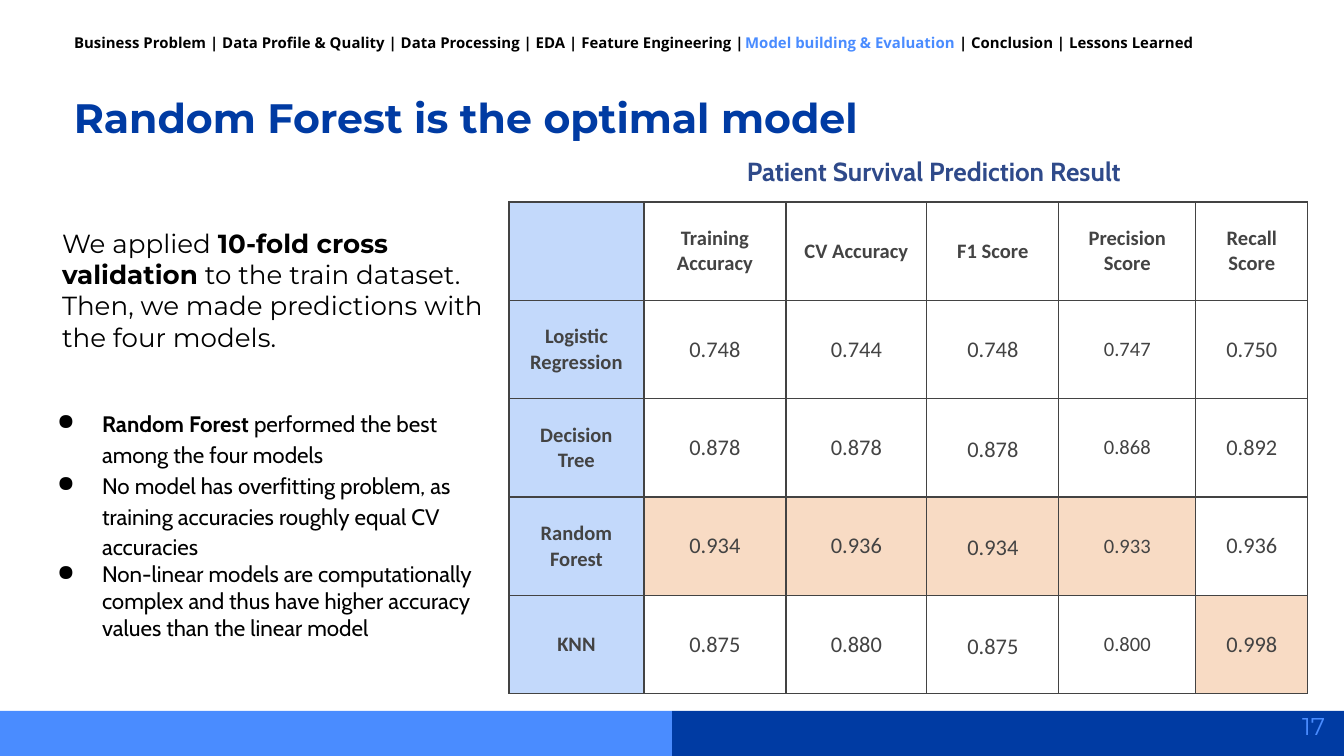
import pptx
import pptx.dml.color
import pptx.enum.shapes
import pptx.enum.text
import pptx.oxml
import pptx.oxml.ns
import pptx.util

RGBColor = pptx.dml.color.RGBColor
PP_ALIGN = pptx.enum.text.PP_ALIGN

NAVY = RGBColor(0x00, 0x3B, 0xA3)
BLUE = RGBColor(0x4A, 0x8C, 0xFF)
SLATE = RGBColor(0x2F, 0x4A, 0x8A)
BLACK = RGBColor(0x00, 0x00, 0x00)
GRAY = RGBColor(0x43, 0x43, 0x43)
PALE_BLUE = RGBColor(0xC3, 0xD9, 0xFB)
PEACH = RGBColor(0xF8, 0xDB, 0xC4)

SLIDE_WIDTH, SLIDE_HEIGHT = 1344, 756
FOOTER_TOP = 711

# Each run is (text, bold, colour).
BREADCRUMB = [
    ("Business Problem | Data Profile & Quality | Data Processing | EDA | Feature Engineering |", True, BLACK),
    ("Model building & Evaluation", True, BLUE),
    (" | Conclusion | Lessons Learned", True, BLACK),
]
TITLE = [("Random Forest is the optimal model", True, NAVY)]
TABLE_TITLE = [("Patient Survival Prediction Result", True, SLATE)]
PAGE_NUMBER = [("17", False, BLUE)]
METHOD = [
    ("We applied ", False, BLACK),
    ("10-fold cross validation", True, BLACK),
    (" to the train dataset. Then, we made predictions with the four models.", False, BLACK),
]
FINDINGS = [
    [("Random Forest", True, BLACK), (" performed the best among the four models", False, BLACK)],
    [("No model has overfitting problem, as training accuracies roughly equal CV accuracies", False, BLACK)],
    [("Non-linear models are computationally complex and thus have higher accuracy "
      "values than the linear model", False, BLACK)],
]
FINDING_SPACINGS = [1.15, 1.15, 1.0]

METRICS = ["Training Accuracy", "CV Accuracy", "F1 Score", "Precision Score", "Recall Score"]
SCORES = {
    "Logistic Regression": [0.748, 0.744, 0.748, 0.747, 0.750],
    "Decision Tree": [0.878, 0.878, 0.878, 0.868, 0.892],
    "Random Forest": [0.934, 0.936, 0.934, 0.933, 0.936],
    "KNN": [0.875, 0.880, 0.875, 0.800, 0.998],
}
COLUMN_WIDTHS = [135, 142, 141, 132, 137, 112]
TABLE_LEFT, TABLE_TOP, TABLE_HEIGHT = 509, 202, 492


def px(length):
    return round(length * 914400 / 134.4)


def add_runs(paragraph, runs, font_name, size):
    for text, bold, color in runs:
        run = paragraph.add_run()
        run.text = text
        run.font.name = font_name
        run.font.size = pptx.util.Pt(size)
        run.font.bold = bold
        run.font.color.rgb = color


def add_text(slide, box, paragraphs, font_name, size, alignment=PP_ALIGN.LEFT):
    """Add a text box at box (left, top, width, height in px) and return its paragraphs."""
    text_frame = slide.shapes.add_textbox(*map(px, box)).text_frame
    text_frame.word_wrap = True
    text_frame.margin_left = text_frame.margin_right = px(13)
    text_frame.margin_top = text_frame.margin_bottom = px(13)
    for index, runs in enumerate(paragraphs):
        paragraph = text_frame.add_paragraph() if index else text_frame.paragraphs[0]
        paragraph.alignment = alignment
        add_runs(paragraph, runs, font_name, size)
    return text_frame.paragraphs


def add_bullet(paragraph):
    properties = paragraph._p.get_or_add_pPr()
    properties.set("marL", str(px(67)))
    properties.set("indent", str(-px(45)))
    color = pptx.oxml.parse_xml(
        f'<a:buClr {pptx.oxml.ns.nsdecls("a")}><a:srgbClr val="{BLACK}"/></a:buClr>')
    character = pptx.oxml.parse_xml(f'<a:buChar {pptx.oxml.ns.nsdecls("a")} char="●"/>')
    properties.extend([color, character])


def add_footer_band(slide, left, color):
    band = slide.shapes.add_shape(
        pptx.enum.shapes.MSO_SHAPE.RECTANGLE,
        px(left), px(FOOTER_TOP), px(SLIDE_WIDTH // 2), px(SLIDE_HEIGHT - FOOTER_TOP))
    band.shadow.inherit = False
    band.fill.solid()
    band.fill.fore_color.rgb = color
    band.line.fill.background()


def format_cell(cell, text, size, bold, fill):
    cell.vertical_anchor = pptx.enum.text.MSO_ANCHOR.MIDDLE
    cell.margin_left = cell.margin_right = cell.margin_top = cell.margin_bottom = px(13)
    paragraph = cell.text_frame.paragraphs[0]
    paragraph.alignment = PP_ALIGN.CENTER
    if text:
        add_runs(paragraph, [(text, bold, GRAY)], "Calibri", size)
    properties = cell._tc.get_or_add_tcPr()
    for side in ("lnL", "lnR", "lnT", "lnB"):
        properties.append(pptx.oxml.parse_xml(
            f'<a:{side} {pptx.oxml.ns.nsdecls("a")} w="{pptx.util.Pt(0.75)}"><a:solidFill>'
            f'<a:srgbClr val="{GRAY}"/></a:solidFill></a:{side}>'))
    if fill is None:
        cell.fill.background()
    else:
        cell.fill.solid()
        cell.fill.fore_color.rgb = fill


def add_score_table(slide):
    """Add the table of scores, with the best score of each metric highlighted."""
    table = slide.shapes.add_table(
        len(SCORES) + 1, len(COLUMN_WIDTHS), px(TABLE_LEFT), px(TABLE_TOP),
        px(sum(COLUMN_WIDTHS)), px(TABLE_HEIGHT)).table
    table.first_row = table.horz_banding = False
    for column, width in zip(table.columns, COLUMN_WIDTHS):
        column.width = px(width)
    for row in table.rows:
        row.height = px(TABLE_HEIGHT / len(table.rows))

    format_cell(table.cell(0, 0), "", 11, True, PALE_BLUE)
    for column, metric in enumerate(METRICS, 1):
        format_cell(table.cell(0, column), metric, 11, True, None)
    best_scores = [max(scores) for scores in zip(*SCORES.values())]
    for row, (model, scores) in enumerate(SCORES.items(), 1):
        format_cell(table.cell(row, 0), model, 11, True, PALE_BLUE)
        for column, (metric, score, best) in enumerate(zip(METRICS, scores, best_scores), 1):
            cell = table.cell(row, column)
            size = 11 if metric == "Precision Score" else 12
            format_cell(cell, f"{score:.3f}", size, False, PEACH if score == best else None)
            if metric == "F1 Score" and row > 1:
                cell.text_frame.paragraphs[0].line_spacing = 1.15


def main():
    presentation = pptx.Presentation()
    presentation.slide_width = px(SLIDE_WIDTH)
    presentation.slide_height = px(SLIDE_HEIGHT)
    slide = presentation.slides.add_slide(presentation.slide_layouts[6])

    add_footer_band(slide, SLIDE_WIDTH // 2, NAVY)
    add_footer_band(slide, 0, BLUE)
    add_text(slide, (61, 79, 1208, 85), [TITLE], "Montserrat", 22)
    add_text(slide, (1258, 698, 80, 58), [PAGE_NUMBER], "Montserrat", 13, PP_ALIGN.RIGHT)
    add_text(slide, (704, 142, 460, 59), [TABLE_TITLE], "Cabin", 14, PP_ALIGN.CENTER)
    findings = add_text(slide, (22, 393, 486, 324), FINDINGS, "Cabin", 12)
    for paragraph, spacing in zip(findings, FINDING_SPACINGS):
        paragraph.line_spacing = spacing
        add_bullet(paragraph)
    add_text(slide, (61, 25, 1283, 46), [BREADCRUMB], "Open Sans", 8)
    add_text(slide, (49, 214, 460, 188), [METHOD], "Montserrat", 14)
    add_score_table(slide)

    presentation.save("out.pptx")


if __name__ == "__main__":
    main()
